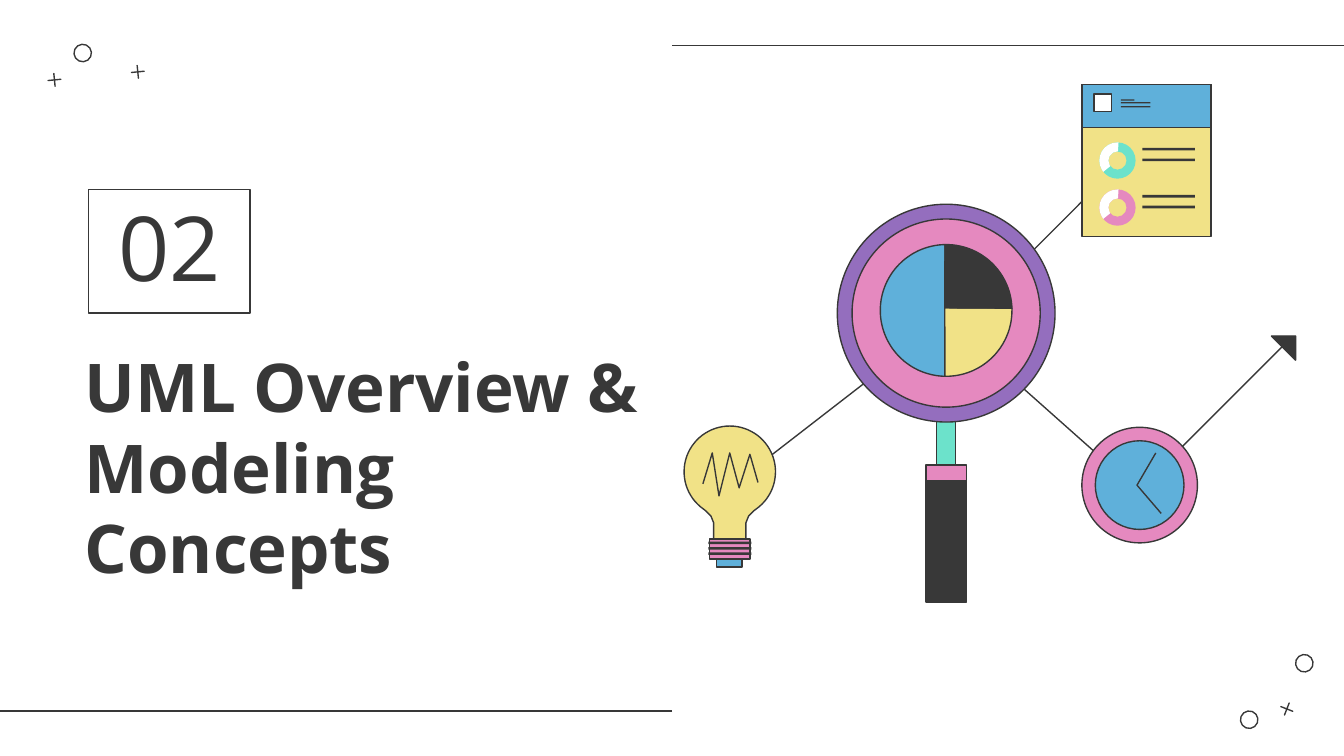
from math import cos, sin, radians

from lxml import etree
from pptx import Presentation
from pptx.dml.color import RGBColor
from pptx.enum.shapes import MSO_CONNECTOR, MSO_SHAPE
from pptx.enum.text import MSO_ANCHOR, PP_ALIGN
from pptx.oxml.ns import qn
from pptx.util import Inches, Pt

INK = RGBColor(0x38, 0x38, 0x38)
WHITE = RGBColor(0xFF, 0xFF, 0xFF)
TEAL = RGBColor(0x6C, 0xE2, 0xCB)
PINK = RGBColor(0xE5, 0x89, 0xBF)
PURPLE = RGBColor(0x94, 0x6E, 0xBE)
BLUE = RGBColor(0x5F, 0xB0, 0xDA)
YELLOW = RGBColor(0xF1, 0xE2, 0x87)
FONT = "Open Sans"

RECT, OVAL, PLUS = MSO_SHAPE.RECTANGLE, MSO_SHAPE.OVAL, MSO_SHAPE.MATH_PLUS
DONUT, ARC = MSO_SHAPE.DONUT, MSO_SHAPE.BLOCK_ARC
STRAIGHT = MSO_CONNECTOR.STRAIGHT
BOTTOM, CENTER, LEFT = MSO_ANCHOR.BOTTOM, PP_ALIGN.CENTER, PP_ALIGN.LEFT


def paint(shape, fill=None, edge=True):
    shape.shadow.inherit = False
    if fill is None:
        shape.fill.background()
    else:
        shape.fill.solid()
        shape.fill.fore_color.rgb = fill
    if edge:
        shape.line.color.rgb = INK
        shape.line.width = Pt(0.75)
    else:
        shape.line.fill.background()
    return shape


def add(slide, kind, x, y, w, h, fill=None, edge=True):
    box = [Inches(v) for v in (x, y, w, h)]
    return paint(slide.shapes.add_shape(kind, *box), fill, edge)


def disc(slide, x, y, r, fill):
    add(slide, OVAL, x - r, y - r, 2 * r, 2 * r, fill)


def outline(slide, x, y, points, fill=None, close=True):
    spots = [(Inches(x + dx), Inches(y + dy)) for dx, dy in points]
    pen = slide.shapes.build_freeform(*spots[0])
    pen.add_line_segments(spots[1:], close=close)
    paint(pen.convert_to_shape(), fill)


def curve(r, start, stop, steps=60):
    turns = [radians(start + (stop - start) * i / steps) for i in range(steps + 1)]
    return [(r * cos(t), r * sin(t)) for t in turns]


def link(slide, x1, y1, x2, y2):
    ends = [Inches(v) for v in (x1, y1, x2, y2)]
    line = slide.shapes.add_connector(STRAIGHT, *ends)
    line.line.color.rgb = INK
    line.line.width = Pt(0.75)
    etree.SubElement(line._element.spPr, qn("a:effectLst"))


def write(shape, text, size, bold=False, align=LEFT):
    frame = shape.text_frame
    frame.word_wrap = True
    frame.vertical_anchor = BOTTOM
    frame.margin_left = frame.margin_right = Inches(0.1)
    frame.margin_top = frame.margin_bottom = Inches(0.1)
    frame.text = text
    para = frame.paragraphs[0]
    para.alignment = align
    font = para.runs[0].font
    font.name, font.size, font.bold = FONT, Pt(size), bold
    font.color.rgb = INK


def marks(slide, x, y, turn, items):
    for kind, dx, dy in items:
        mark = add(slide, kind, x + dx, y + dy, 0.13, 0.13)
        mark.rotation = turn
        if kind == PLUS:
            mark.adjustments[0] = 0


def frame_art(slide):
    link(slide, 10, 0.34, 5, 0.34)
    link(slide, 5, 5.29, 0, 5.29)
    marks(slide, 0.34, 0.33, 84.5, [(OVAL, 0.21, 0), (PLUS, 0, 0.2), (PLUS, 0.62, 0.14)])
    marks(slide, 9.23, 4.87, 291.4, [(OVAL, 0, 0.42), (PLUS, 0.28, 0.34), (OVAL, 0.41, 0)])


def heading(slide, x, y):
    title = slide.shapes.add_textbox(Inches(x), Inches(y + 0.66), Inches(4.59), Inches(2.4))
    write(title, "UML Overview & Modeling Concepts", 36, bold=True)
    number = add(slide, RECT, x + 0.13, y, 1.2, 0.92)
    write(number, "02", 48, align=CENTER)


def links(slide):
    link(slide, 7.45, 2.1, 8.22, 1.33)
    link(slide, 8.49, 3.63, 9.55, 2.57)
    outline(slide, 5.4, 2.38, [(0, 1.27), (1.64, 0), (3.08, 1.28)], close=False)
    # Arrow tip
    outline(slide, 9.46, 2.5, [(0.18, 0), (0, 0), (0.18, 0.18)], INK)


def magnifier(slide, x, y):
    # Handle, then rings, around the lens centre
    add(slide, RECT, x - 0.07, y + 0.71, 0.14, 1.29, TEAL)
    add(slide, RECT, x - 0.15, y + 1.25, 0.3, 0.9, INK)
    add(slide, RECT, x - 0.15, y + 1.13, 0.3, 0.12, PINK)
    disc(slide, x, y, 0.81, PURPLE)
    disc(slide, x, y, 0.7, PINK)
    # Pie sectors
    hub = (-0.01, -0.02)
    for start, stop, fill in ((91, 269, BLUE), (-2, 91, YELLOW), (269, 358, INK)):
        outline(slide, x, y - 0.02, [hub] + curve(0.49, start, stop), fill)


def bulb(slide, x, y):
    neck = [(0.18, 0.29), (0.14, 0.33), (0.12, 0.38), (0.12, 0.51)]
    left = [(-dx, dy) for dx, dy in reversed(neck)]
    outline(slide, x, y, curve(0.34, 130, 410) + neck + left, YELLOW)
    # Base and thread
    add(slide, RECT, x - 0.1, y + 0.64, 0.19, 0.07, BLUE)
    add(slide, RECT, x - 0.15, y + 0.5, 0.3, 0.15, PINK)
    for i in range(3):
        add(slide, RECT, x - 0.16, y + 0.52 + 0.04 * i, 0.32, 0.02, INK, False)
    # Filament
    wire = [(-0.2, 0.09), (-0.13, -0.14), (-0.08, 0.18), (0, -0.14),
            (0.07, 0.12), (0.15, -0.13), (0.21, 0.08)]
    outline(slide, x, y, wire, close=False)


def clock(slide, x, y):
    disc(slide, x, y, 0.43, PINK)
    disc(slide, x, y, 0.33, BLUE)
    outline(slide, x, y, [(0.12, -0.24), (-0.02, 0), (0.16, 0.21)], close=False)


def report(slide, x, y):
    add(slide, RECT, x, y, 0.96, 1.13, YELLOW)
    # Header
    add(slide, RECT, x, y, 0.96, 0.32, BLUE)
    for top, width in ((0.11, 0.1), (0.13, 0.22), (0.16, 0.22)):
        add(slide, RECT, x + 0.29, y + top, width, 0.01, INK, False)
    add(slide, RECT, x + 0.09, y + 0.07, 0.13, 0.13, WHITE)
    # Ring charts with their text lines
    for top, fill in ((y + 0.43, TEAL), (y + 0.78, PINK)):
        add(slide, DONUT, x + 0.13, top, 0.27, 0.27, fill, False)
        arc = add(slide, ARC, x + 0.13, top, 0.27, 0.27, WHITE, False)
        for i, value in enumerate((84.95, 164, 0.25)):
            arc.adjustments[i] = value
        for gap in (0.04, 0.12):
            add(slide, RECT, x + 0.45, top + gap, 0.39, 0.02, INK, False)


def main():
    deck = Presentation()
    deck.slide_width = Inches(10)
    deck.slide_height = deck.slide_width * 9 // 16
    slide = deck.slides.add_slide(deck.slide_layouts[6])
    frame_art(slide)
    heading(slide, 0.53, 1.41)
    links(slide)
    magnifier(slide, 7.04, 2.33)
    bulb(slide, 5.43, 3.51)
    clock(slide, 8.48, 3.61)
    report(slide, 8.05, 0.63)
    deck.save("out.pptx")


if __name__ == "__main__":
    main()
